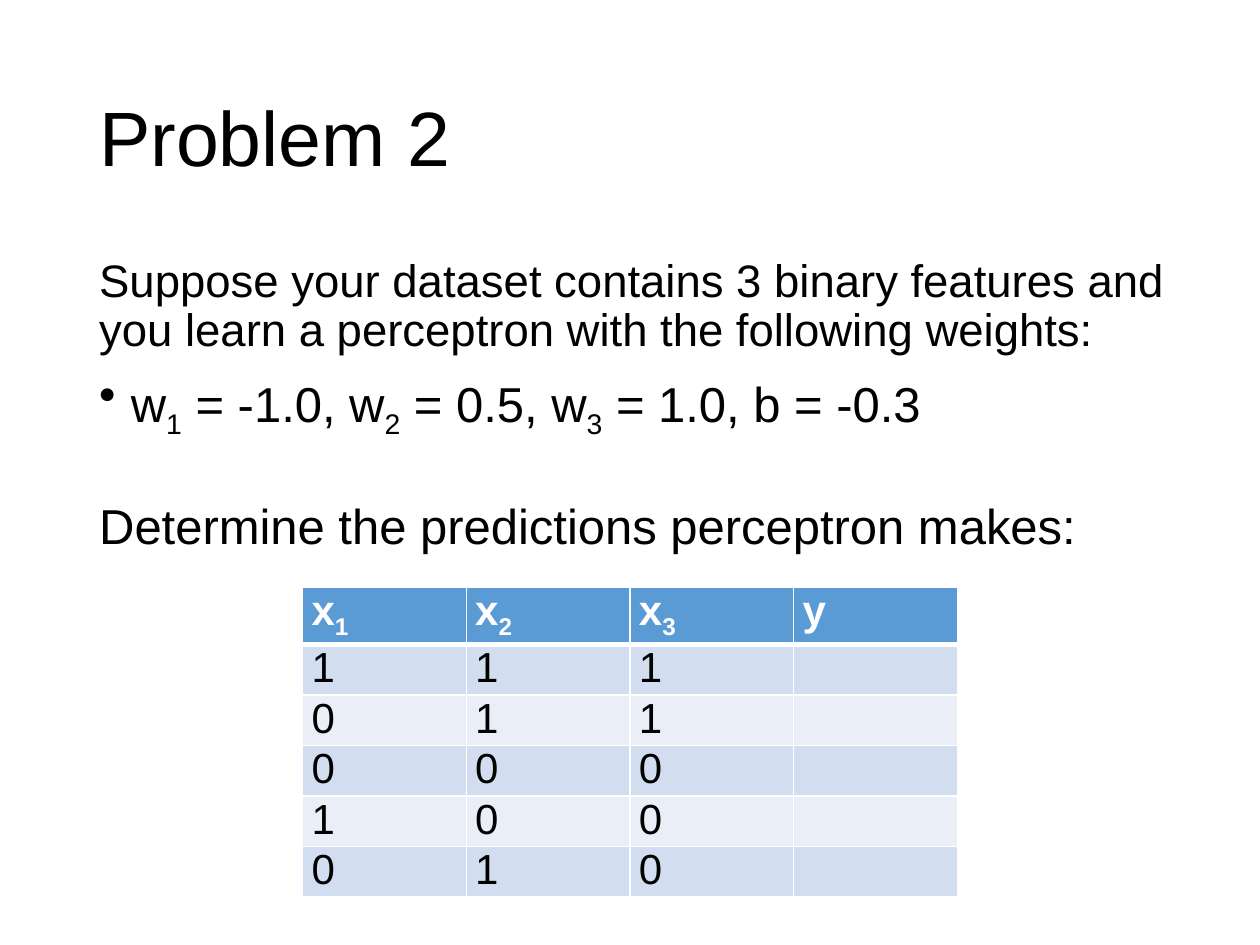
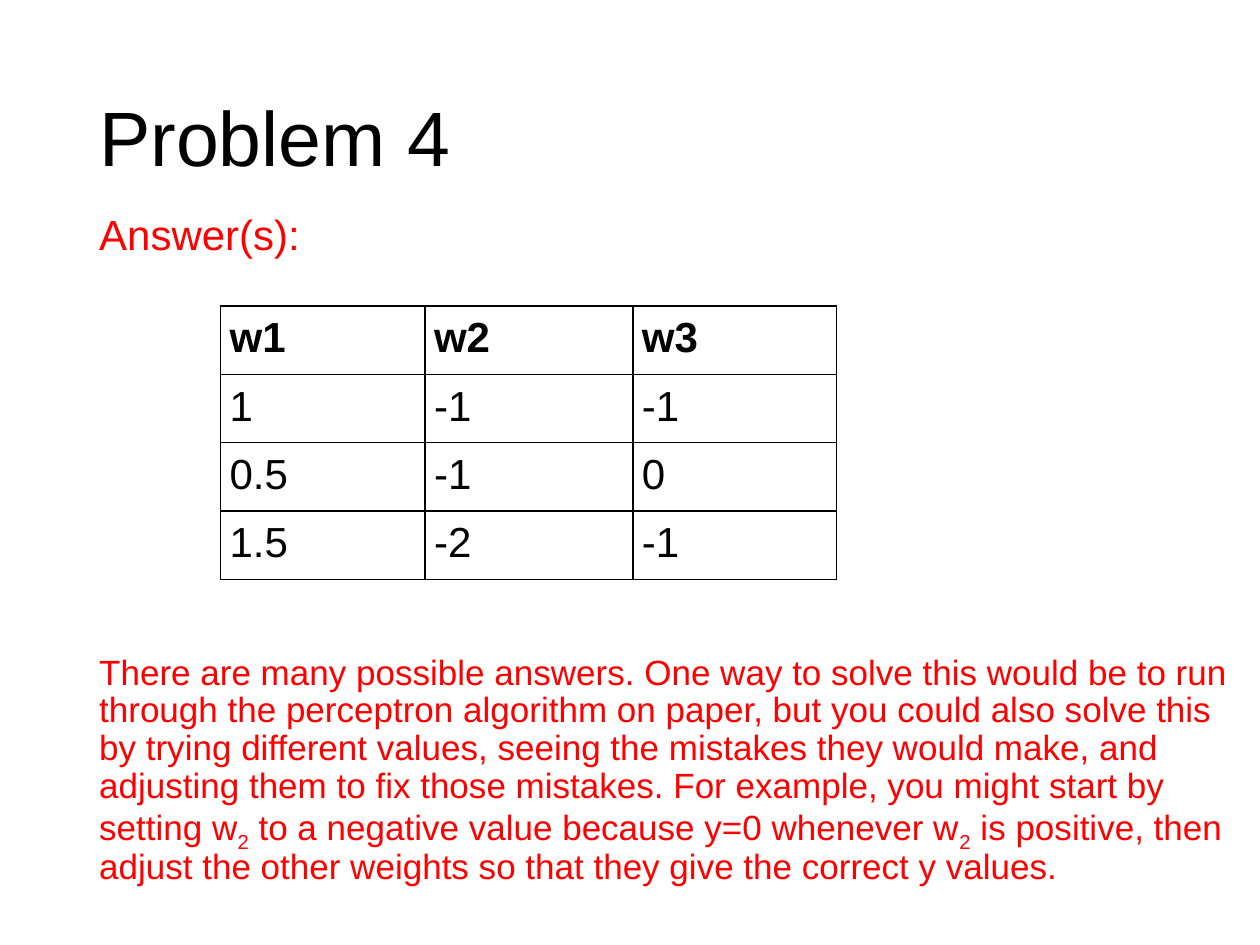
from dataclasses import dataclass

from lxml.etree import SubElement
from pptx import Presentation
from pptx.dml.color import RGBColor
from pptx.enum.text import MSO_ANCHOR
from pptx.oxml.ns import qn
from pptx.util import Cm, Pt


@dataclass(frozen=True)
class Theme:
    """Colours, font and type sizes of the deck."""
    font: str = "Arial"
    black: str = "000000"
    white: str = "FFFFFF"
    red: str = "FF0000"
    header: str = "5B9BD5"
    bands: tuple = ("D2DEEF", "EAEFF7")
    title: int = 44
    large: int = 28
    intro: int = 26
    medium: int = 24
    small: int = 20


THEME = Theme()
LEFT = 1.75


@dataclass(frozen=True)
class TableLook:
    """Inset, text colour, fills and borders of a table."""
    inset: float
    header_text: str
    border: str
    header_fill: str = ""
    bands: tuple = ("",)
    header_rule: int = 1


BANDED = TableLook(0, THEME.white, THEME.white, THEME.header, THEME.bands, 3)
GRID = TableLook(0.18, THEME.black, THEME.black)


def write(para, text, size, color=THEME.black, bold=False):
    """Fill a paragraph; the character after each underscore is a subscript."""
    first, *rest = text.split("_")
    pieces = [(first, False)]
    for part in rest:
        pieces += [(part[:1], True), (part[1:], False)]
    for piece, lowered in pieces:
        if piece:
            span = para.add_run()
            span.text = piece
            if lowered:
                span._r.get_or_add_rPr().set("baseline", "-25000")
    para.font.name = THEME.font
    para.font.size = Pt(size)
    para.font.bold = bold
    para.font.color.rgb = RGBColor.from_string(color)


def add_bullet(para, indent):
    """Give a paragraph a round bullet with a hanging indent."""
    properties = para._p.get_or_add_pPr()
    properties.set("marL", str(Cm(indent)))
    properties.set("indent", str(-Cm(indent)))
    SubElement(properties, qn("a:buChar")).set("char", "•")


def add_box(page, top, width, height, anchor=MSO_ANCHOR.TOP):
    """Add a wrapping text box at the left margin and return its frame."""
    box = page.shapes.add_textbox(Cm(LEFT), Cm(top), Cm(width), Cm(height))
    box.text_frame.word_wrap = True
    box.text_frame.vertical_anchor = anchor
    return box.text_frame


def add_title(page, text):
    """Add the slide title."""
    para = add_box(page, 1.02, 21.9, 3.68, MSO_ANCHOR.MIDDLE).paragraphs[0]
    para.line_spacing = 0.9
    write(para, text, THEME.title)


def add_body(page, top, width, height, lines, color=THEME.black):
    """Add body text from (text, size, space before, bulleted) lines."""
    frame = add_box(page, top, width, height)
    for index, (text, size, space, bulleted) in enumerate(lines):
        para = frame.add_paragraph() if index else frame.paragraphs[0]
        para.line_spacing = 0.9
        para.space_before = Pt(space)
        if bulleted:
            add_bullet(para, 0.64)
        write(para, text, size, color)


def add_border(cell, side, color, width):
    """Draw one side of a cell."""
    line = SubElement(cell._tc.get_or_add_tcPr(), qn(f"a:ln{side}"))
    line.set("w", str(Pt(width)))
    SubElement(SubElement(line, qn("a:solidFill")), qn("a:srgbClr")).set("val", color)


def style_cell(cell, look, row):
    """Apply insets, borders and fill to a cell of the given row."""
    cell.margin_left = cell.margin_right = Cm(0.18)
    cell.margin_top = cell.margin_bottom = Cm(look.inset)
    for side in "LRTB":
        on_rule = (row, side) in ((0, "B"), (1, "T"))
        add_border(cell, side, look.border, look.header_rule if on_rule else 1)
    fill = look.bands[(row - 1) % len(look.bands)] if row else look.header_fill
    if fill:
        cell.fill.solid()
        cell.fill.fore_color.rgb = RGBColor.from_string(fill)
    else:
        cell.fill.background()


def add_grid(page, left, top, widths, heights, rows, look):
    """Add a table whose first row is a bold header."""
    table = page.shapes.add_table(len(rows), len(widths), Cm(left), Cm(top),
                                  Cm(sum(widths)), Cm(sum(heights))).table
    table.first_row = bool(look.header_fill)
    table.horz_banding = False
    for column, width in zip(table.columns, widths):
        column.width = Cm(width)
    for row, (texts, height) in enumerate(zip(rows, heights)):
        table.rows[row].height = Cm(height)
        for column, text in enumerate(texts):
            cell = table.cell(row, column)
            style_cell(cell, look, row)
            color = THEME.black if row else look.header_text
            write(cell.text_frame.paragraphs[0], text, THEME.medium, color, row == 0)


def add_page(deck, title):
    """Add a blank page with a title."""
    page = deck.slides.add_slide(deck.slide_layouts[6])
    add_title(page, title)
    return page


def build_question(deck):
    """Build the perceptron prediction question."""
    page = add_page(deck, "Problem 2")
    add_body(page, 5.08, 22.7, 13.54, [
        ("Suppose your dataset contains 3 binary features and "
         "you learn a perceptron with the following weights:", THEME.intro, 10, False),
        ("w_1 = -1.0, w_2 = 0.5, w_3 = 1.0, b = -0.3", THEME.large, 10, True),
        ("Determine the predictions perceptron makes:", THEME.large, 39, False),
    ])
    inputs = ["111", "011", "000", "100", "010"]
    rows = [["x_1", "x_2", "x_3", "y"]] + [[*bits, ""] for bits in inputs]
    add_grid(page, 6.1, 11.84, [3.3] * 4, [1.07] + [0.94] * 5, rows, BANDED)


def build_answer(deck):
    """Build the answer with example weights."""
    page = add_page(deck, "Problem 4")
    add_body(page, 4.19, 23.65, 14.43, [
        ("Answer(s):", THEME.medium, 10, False),
        ("There are many possible answers. One way to solve this would be to run "
         "through the perceptron algorithm on paper, but you could also solve this "
         "by trying different values, seeing the mistakes they would make, and "
         "adjusting them to fix those mistakes. For example, you might start by "
         "setting w_2 to a negative value because y=0 whenever w_2 is positive, then "
         "adjust the other weights so that they give the correct y values.",
         THEME.small, 226, False),
    ], THEME.red)
    rows = [["w1", "w2", "w3"], ["1", "-1", "-1"], ["0.5", "-1", "0"], ["1.5", "-2", "-1"]]
    add_grid(page, 4.45, 6.17, [4.12, 4.19, 4.1], [1.3] * 4, rows, GRID)


def main():
    """Build and save the deck."""
    deck = Presentation()
    deck.slide_width, deck.slide_height = Cm(25.4), Cm(19.05)
    build_question(deck)
    build_answer(deck)
    deck.save("out.pptx")


main()
